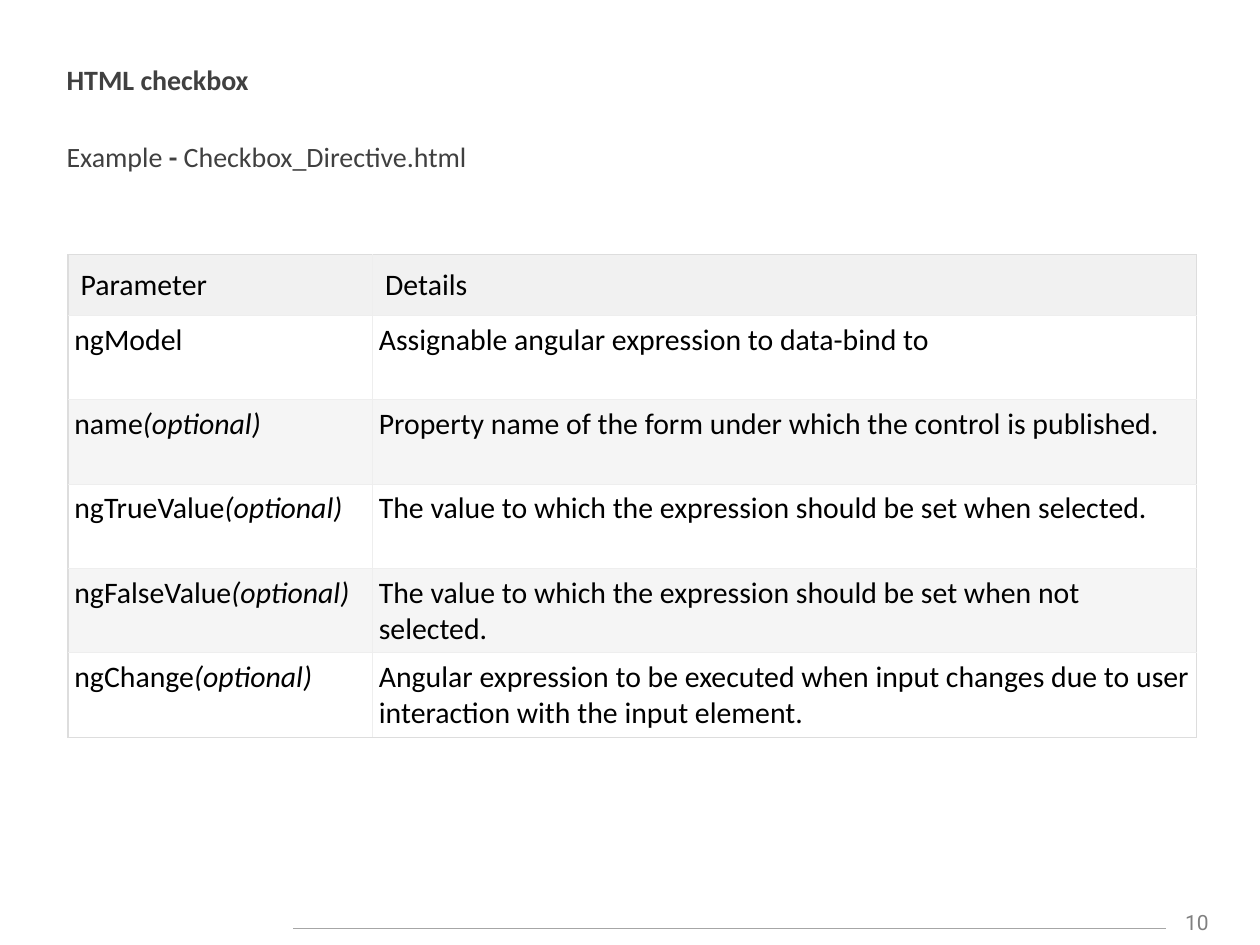
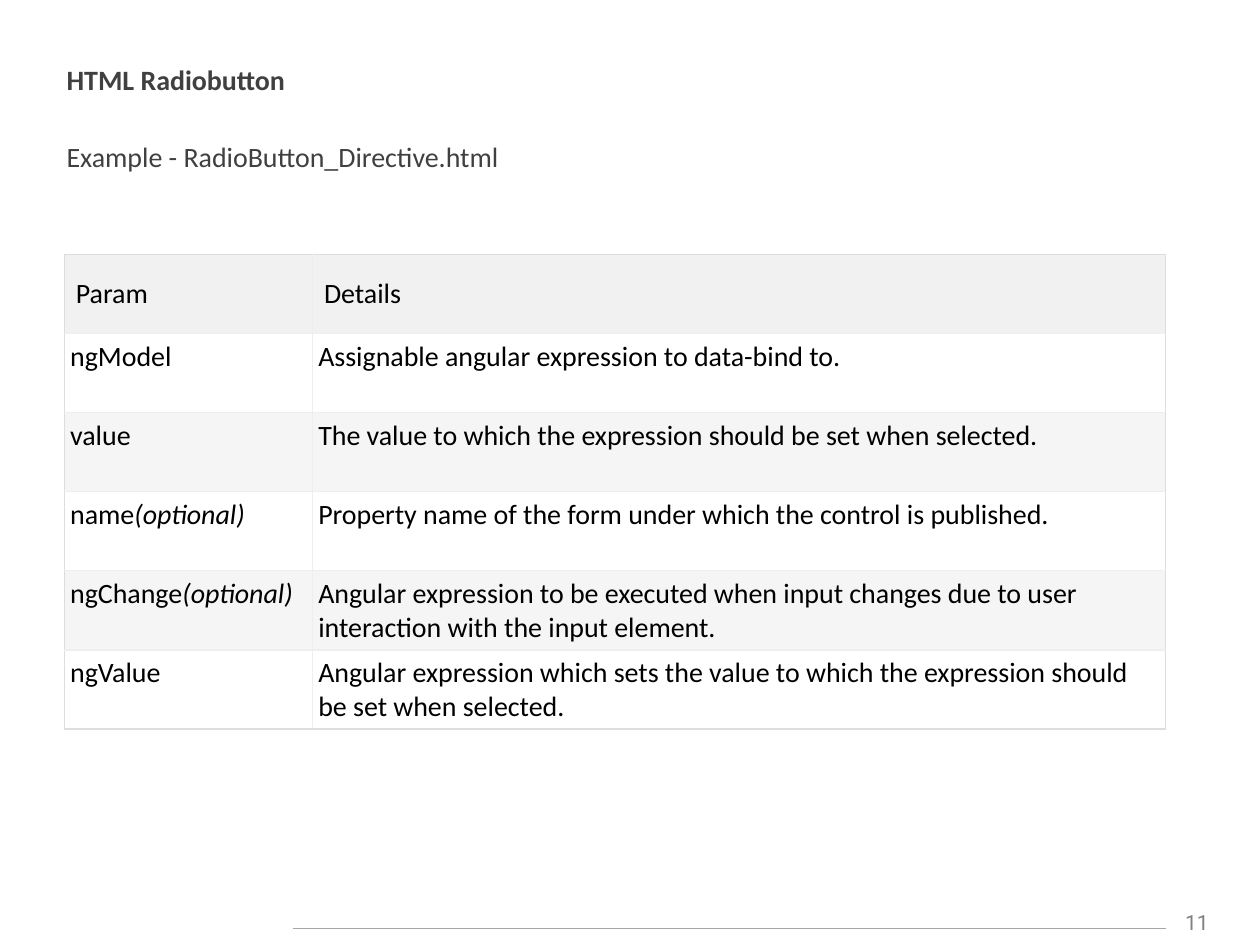
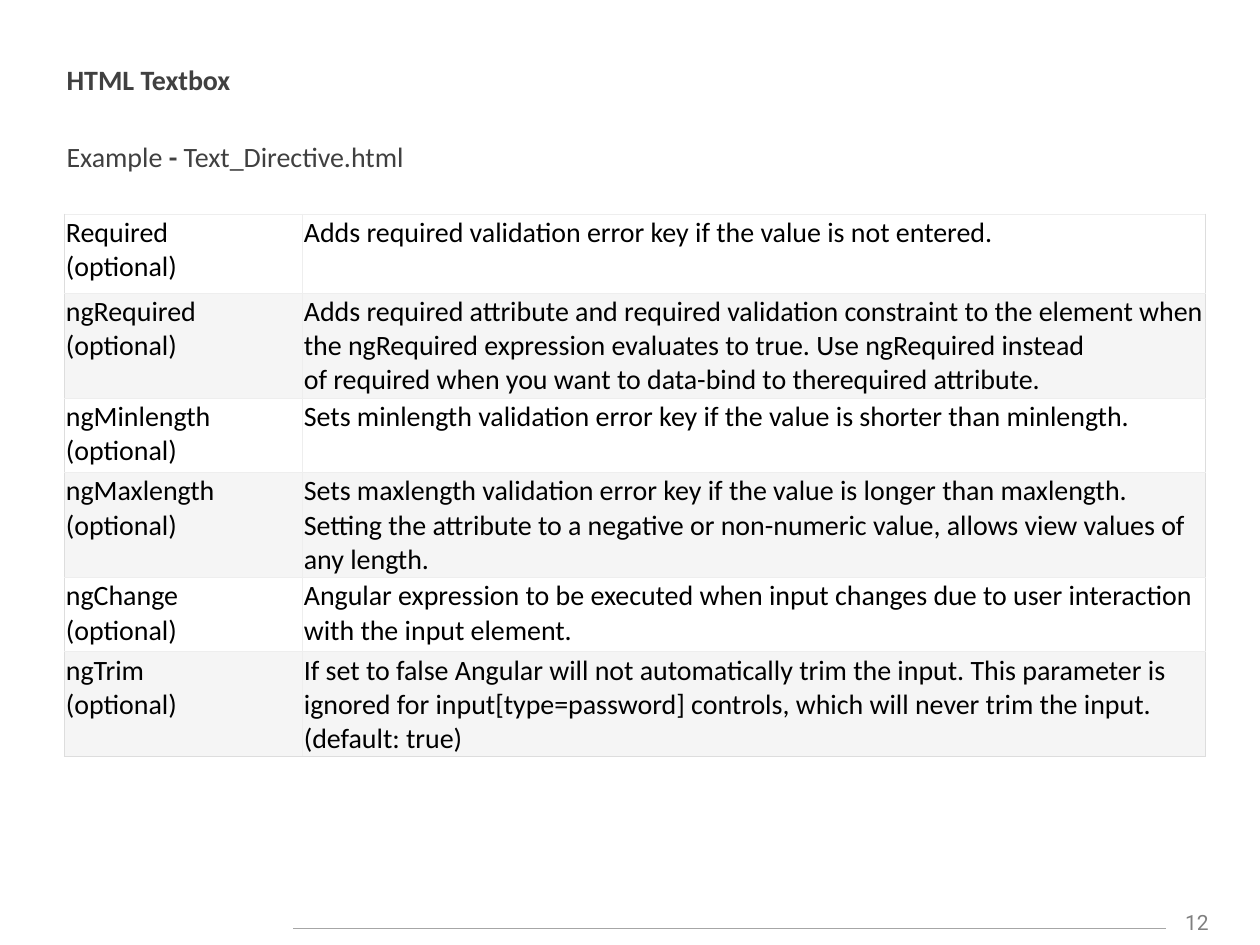
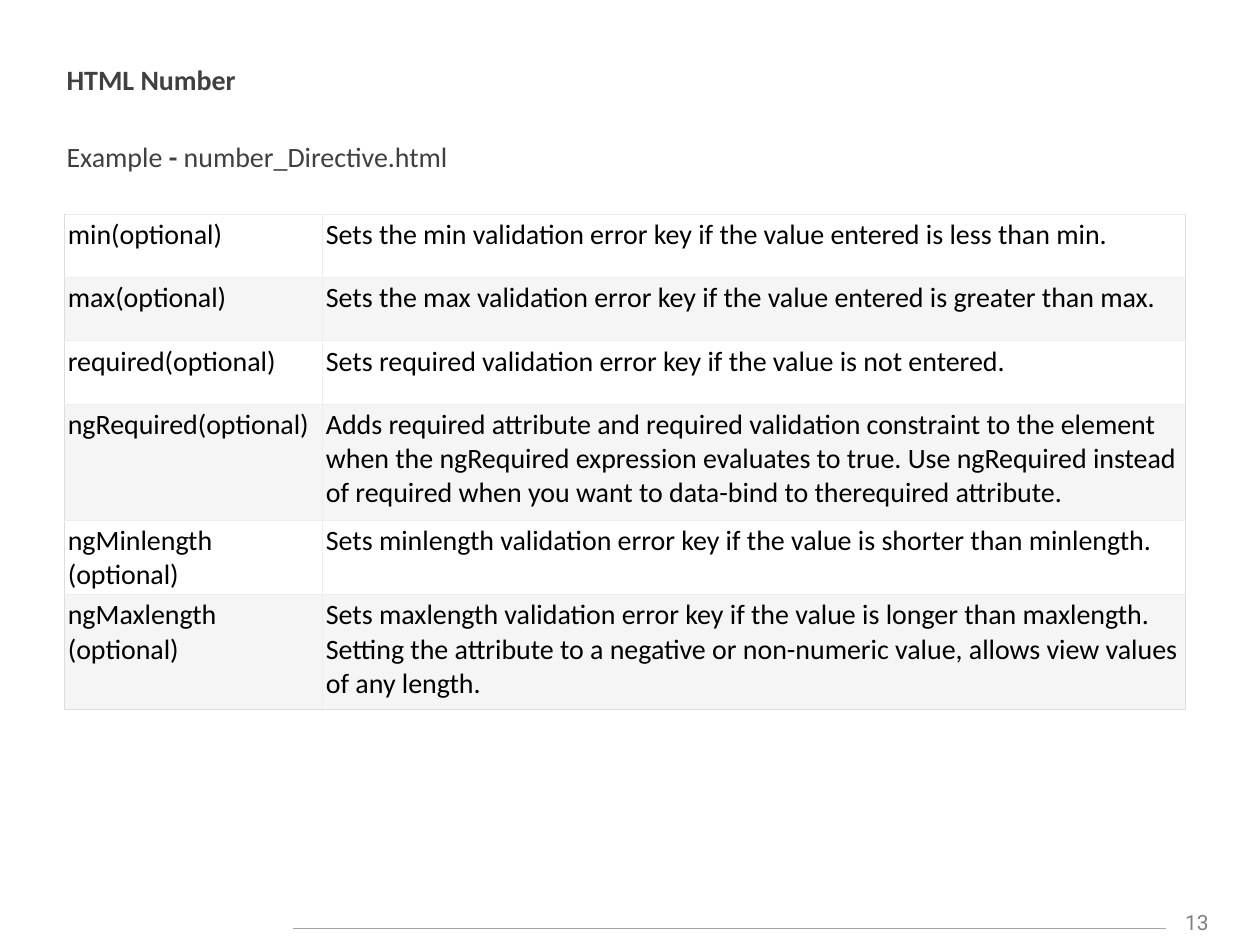
from pptx import Presentation, oxml
from pptx import util as u
from pptx.dml import color
from pptx.enum import shapes, text
from pptx.oxml import ns

PAGES = [
    {
        "num": 10, "title": "HTML checkbox",
        "demo": ["Example ", "- ", "Checkbox_Directive.html"],
        "head": ("Parameter", "Details"), "slant": True,
        "at": (38.9, 145.5), "cols": (174, 471),
        "tall": [34.8] + [48.2] * 5, "inset": 3.6, "size": 17,
        "rows": [
            ("ngModel", "Assignable angular expression to data-bind to"),
            ("name(optional)", "Property name of the form under which the control is published."),
            ("ngTrueValue(optional)", "The value to which the expression should be set when selected."),
            ("ngFalseValue(optional)", "The value to which the expression should be set when not selected."),
            ("ngChange(optional)", "Angular expression to be executed when input changes due to user interaction with the input element."),
        ],
    },
    {
        "num": 11, "title": "HTML Radiobutton",
        "demo": ["Example - RadioButton_Directive.html"],
        "head": ("Param", "Details"), "slant": True,
        "at": (36.8, 145.5), "cols": (141.8, 487.4),
        "tall": [45.2] * 6, "inset": 3.3, "size": 16,
        "rows": [
            ("ngModel", "Assignable angular expression to data-bind to."),
            ("value", "The value to which the expression should be set when selected."),
            ("name(optional)", "Property name of the form under which the control is published."),
            ("ngChange(optional)", "Angular expression to be executed when input changes due to user interaction with the input element."),
            ("ngValue", "Angular expression which sets the value to which the expression should be set when selected."),
        ],
    },
    {
        "num": 12, "title": "HTML Textbox",
        "demo": ["Example ", "- ", "Text_Directive.html"],
        "head": None, "slant": False,
        "at": (36.8, 122.4), "cols": (136, 516.3),
        "tall": [45.2, 60, 42.5, 60, 42.5, 60], "inset": 0.9, "size": 16,
        "rows": [
            ("Required\n(optional)", "Adds~required~validation error key if the value is not entered."),
            ("ngRequired\n(optional)", "Adds~required~attribute and~required~validation constraint to the element when the ngRequired expression evaluates to true. Use~ngRequired~instead of~required~when you want to data-bind to therequired~attribute."),
            ("ngMinlength\n(optional)", "Sets~minlength~validation error key if the value is shorter than minlength."),
            ("ngMaxlength\n(optional)", "Sets~maxlength~validation error key if the value is longer than maxlength. Setting the attribute to a negative or non-numeric value, allows view values of any length."),
            ("ngChange\n(optional)", "Angular expression to be executed when input changes due to user interaction with the input element."),
            ("ngTrim\n(optional)", "If set to false Angular will not automatically trim the input. This parameter is ignored for input[type=password] controls, which will never trim the input.\n(default: true)"),
        ],
    },
    {
        "num": 13, "title": "HTML Number",
        "demo": ["Example ", "- ", "number_Directive.html"],
        "head": None, "slant": False,
        "at": (36.8, 122.4), "cols": (147.5, 493),
        "tall": [36.2, 36.2, 36.2, 66.5, 36.2, 65.6], "inset": 2, "size": 16,
        "rows": [
            ("min(optional)", "Sets the~min~validation error key if the value entered is less than~min."),
            ("max(optional)", "Sets the~max~validation error key if the value entered is greater than~max."),
            ("required(optional)", "Sets~required~validation error key if the value is not entered."),
            ("ngRequired(optional)", "Adds~required~attribute and~required~validation constraint to the element when the ngRequired expression evaluates to true. Use~ngRequired~instead of~required~when you want to data-bind to therequired~attribute."),
            ("ngMinlength\n(optional)", "Sets~minlength~validation error key if the value is shorter than minlength."),
            ("ngMaxlength\n(optional)", "Sets~maxlength~validation error key if the value is longer than maxlength. Setting the attribute to a negative or non-numeric value, allows view values of any length."),
        ],
    },
]


class Theme:
    ink, cell, page, rule = "404040", "000000", "808080", "A6A6A6"
    head, bands = "F1F1F1", ("FFFFFF", "F5F5F5")
    edge, grid = "DDDDDD", "EEEEEE"
    body, foot = "Calibri", "Roboto"
    lead, small, line = 16, 12, 0.75


HARD = chr(160)
SIDES = ("left", "right", "top", "bottom")


def rgb(tone):
    return color.RGBColor.from_string(tone)


def apply(item, form):
    for key, val in form.items():
        setattr(item, key, val)


def write(para, words, tone, size, face=Theme.body, **more):
    run = para.add_run()
    run.text = words.replace("~", HARD)
    apply(run.font, {"name": face, "size": u.Pt(size), **more})
    run.font.color.rgb = rgb(tone)


def box(slide, *spot):
    frame = slide.shapes.add_textbox(*map(u.Pt, spot)).text_frame
    frame.word_wrap = True
    return frame


def intro(slide, page):
    frame = box(slide, 31, 32, 676.8, 459.4)
    write(frame.paragraphs[0], page["title"], Theme.ink, Theme.lead, bold=True)
    para = frame.add_paragraph()
    para.space_before = u.Pt(25)
    for part in page["demo"]:
        write(para, part, Theme.ink, Theme.lead, bold=part == "- ")


def footer(slide, num):
    para = box(slide, 666, 516.2, 36, 21.6).paragraphs[0]
    para.alignment = text.PP_ALIGN.CENTER
    write(para, str(num), Theme.page, Theme.small, Theme.foot)
    ends = map(u.Pt, (167.6, 530.6, 666, 530.6))
    rule = slide.shapes.add_connector(shapes.MSO_CONNECTOR.STRAIGHT, *ends)
    rule.line.width = u.Pt(Theme.line)
    rule.line.color.rgb = rgb(Theme.rule)
    oxml.xmlchemy.OxmlElement
    rule._element.spPr.append(oxml.parse_xml(f"<a:effectLst {ns.nsdecls('a')}/>"))


def border(cell, tones):
    props = cell._tc.get_or_add_tcPr()
    for side, tone in zip("LRTB", tones):
        props.append(oxml.parse_xml(
            f'<a:ln{side} {ns.nsdecls("a")} w="{u.Pt(Theme.line)}">'
            f'<a:solidFill><a:srgbClr val="{tone}"/></a:solidFill></a:ln{side}>'))


def fill(cell, words, page, slant, first):
    pad = u.Pt(page["inset"] * (2 if first else 1))
    apply(cell, {f"margin_{side}": pad for side in SIDES})
    cell.vertical_anchor = text.MSO_ANCHOR.MIDDLE if first else text.MSO_ANCHOR.TOP
    frame = cell.text_frame
    for i, row in enumerate(words.split("\n")):
        para = frame.add_paragraph() if i else frame.paragraphs[0]
        name, mark, rest = row.partition("(") if slant else (row, "", "")
        for part, lean in ((name, False), (mark + rest, True)):
            if part:
                write(para, part, Theme.cell, page["size"], italic=lean)


def grid(slide, page):
    rows = ([page["head"]] if page["head"] else []) + page["rows"]
    cols, tall = page["cols"], page["tall"]
    spot = map(u.Pt, (*page["at"], sum(cols), sum(tall)))
    table = slide.shapes.add_table(len(rows), len(cols), *spot).table
    apply(table, {"first_row": False, "horz_banding": False})
    for col, wide in zip(table.columns, cols):
        col.width = u.Pt(wide)
    shift = 1 if page["head"] else 0
    for r, row in enumerate(rows):
        table.rows[r].height = u.Pt(tall[r])
        first = r < shift
        for c, words in enumerate(row):
            cell = table.cell(r, c)
            outer = (c == 0, c == len(cols) - 1, first, r == len(rows) - 1)
            border(cell, [Theme.edge if out else Theme.grid for out in outer])
            cell.fill.solid()
            cell.fill.fore_color.rgb = rgb(Theme.head if first else Theme.bands[(r - shift) % 2])
            fill(cell, words, page, page["slant"] and c == 0, first)


def main():
    deck = Presentation()
    apply(deck, {"slide_width": u.Pt(720), "slide_height": u.Pt(540)})
    for page in PAGES:
        slide = deck.slides.add_slide(deck.slide_layouts[6])
        footer(slide, page["num"])
        intro(slide, page)
        grid(slide, page)
    deck.save("out.pptx")


if __name__ == "__main__":
    main()
